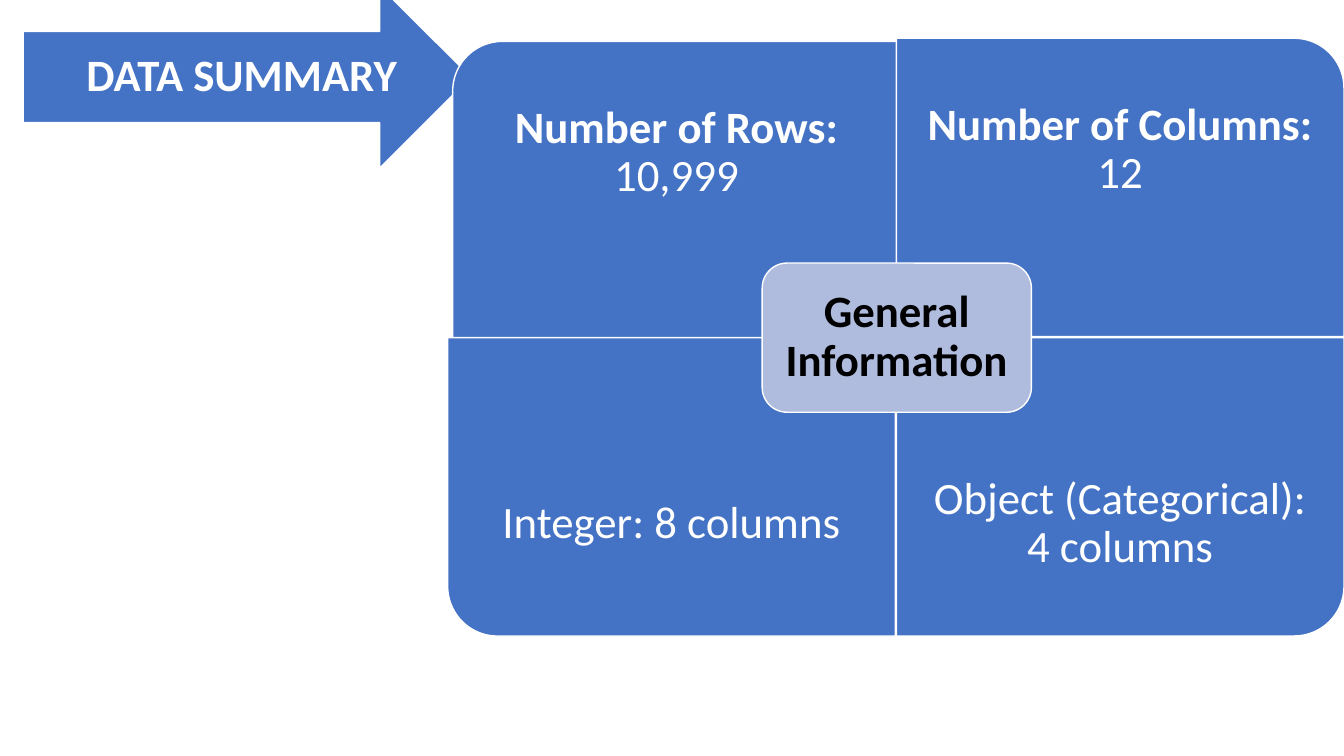
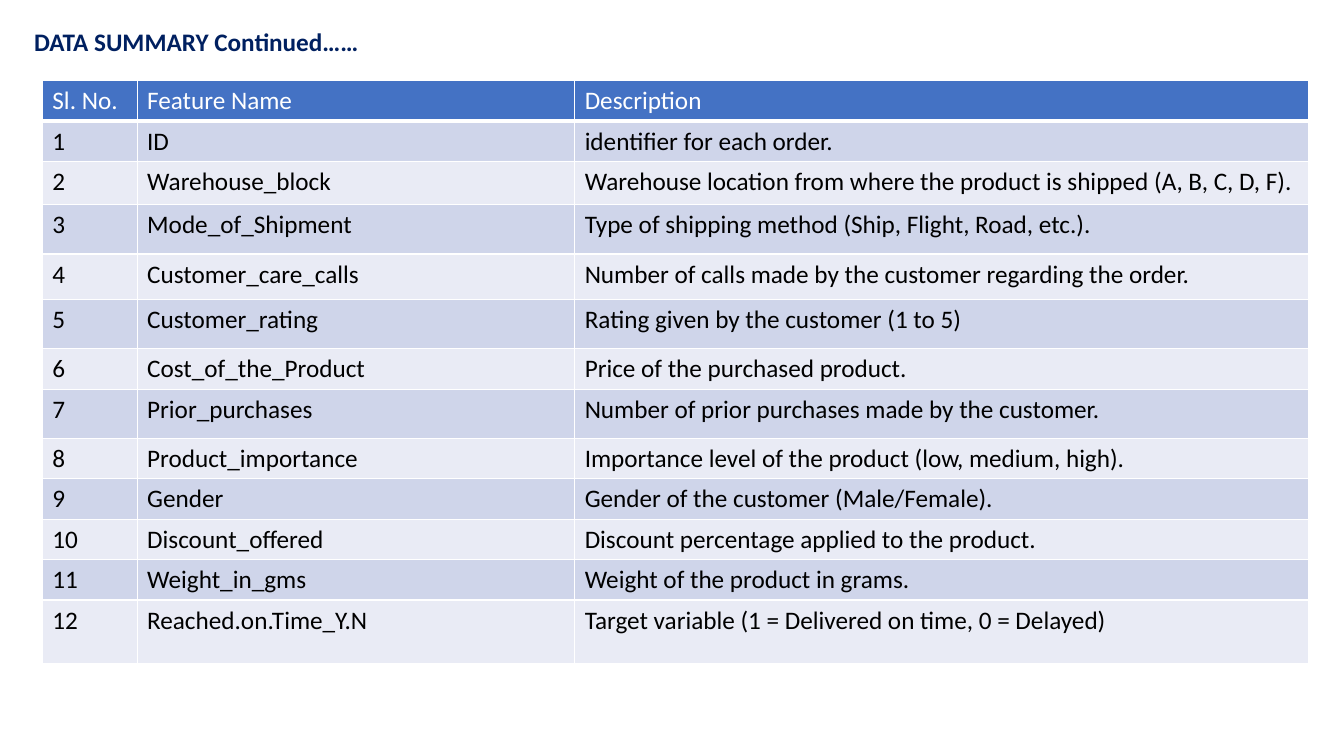
from typing import NamedTuple

from lxml.etree import SubElement
from pptx import Presentation
from pptx.dml.color import RGBColor
from pptx.enum.shapes import MSO_SHAPE
from pptx.enum.text import MSO_ANCHOR, PP_ALIGN
from pptx.oxml.ns import qn
from pptx.util import Inches, Pt

FONT = "Calibri"
WHITE = RGBColor(0xFF, 0xFF, 0xFF)
BLACK = RGBColor(0x00, 0x00, 0x00)
BLUE = RGBColor(0x44, 0x72, 0xC4)
LAVENDER = RGBColor(0xB0, 0xBC, 0xDE)
NAVY = RGBColor(0x00, 0x20, 0x60)
BANDS = (RGBColor(0xCF, 0xD5, 0xEA), RGBColor(0xE9, 0xEB, 0xF5))

QUAD_W, QUAD_H = 4.44, 2.96
TEXT_H = 2.22


class Quadrant(NamedTuple):
    left: float
    top: float
    rotation: int
    text_top: float
    label: str
    value: str


QUADRANTS = (
    Quadrant(4.49, 0.41, 270, 0.41, "Number of Rows:", " 10,999"),
    Quadrant(8.89, 0.38, 0, 0.38, "Number of Columns:", " 12"),
    Quadrant(4.44, 3.35, 180, 4.09, "", "Integer: 8 columns"),
    Quadrant(8.89, 3.35, 90, 4.09, "", "Object (Categorical): 4 columns"),
)


class Feature(NamedTuple):
    name: str
    description: str
    height: float


FEATURES = (
    Feature("ID", "identifier for each order.", 0.4),
    Feature("Warehouse_block",
            "Warehouse location from where the product is shipped (A, B, C, D, F).", 0.43),
    Feature("Mode_of_Shipment", "Type of shipping method (Ship, Flight, Road, etc.).", 0.49),
    Feature("Customer_care_calls",
            "Number of calls made by the customer regarding the order.", 0.45),
    Feature("Customer_rating", "Rating given by the customer (1 to 5)", 0.49),
    Feature("Cost_of_the_Product", "Price of the purchased product.", 0.4),
    Feature("Prior_purchases", "Number of prior purchases made by the customer.", 0.49),
    Feature("Product_importance", "Importance level of the product (low, medium, high).", 0.4),
    Feature("Gender", "Gender of the customer (Male/Female).", 0.4),
    Feature("Discount_offered", "Discount percentage applied to the product.", 0.4),
    Feature("Weight_in_gms", "Weight of the product in grams.", 0.4),
    Feature("Reached.on.Time_Y.N", "Target variable (1 = Delivered on time, 0 = Delayed)", 0.63),
)
HEADER = ("Sl. No.", "Feature Name", "Description")
HEADER_H = 0.4
COLUMN_WIDTHS = (0.94, 4.34, 7.28)


def add_run(p, text: str, *, size: int = 18, color: RGBColor = BLACK, bold: bool = False) -> None:
    r = p.add_run()
    r.text = text
    r.font.name = FONT
    r.font.size = Pt(size)
    r.font.bold = bold
    r.font.color.rgb = color


def center_text(sp, insets: tuple[float, float, float, float]):
    """Set up a centred, wrapped frame and return its first paragraph."""
    tf = sp.text_frame
    tf.word_wrap = True
    tf.vertical_anchor = MSO_ANCHOR.MIDDLE
    tf.margin_left, tf.margin_top, tf.margin_right, tf.margin_bottom = map(Inches, insets)
    p = tf.paragraphs[0]
    p.alignment = PP_ALIGN.CENTER
    p.line_spacing = 0.9
    return p


def add_block(s, kind: MSO_SHAPE, left: float, top: float, width: float, height: float,
              *, fill: RGBColor = BLUE, rotation: int = 0):
    """Add a white-outlined shape that covers the given area once rotated."""
    if rotation % 180:
        left, top = left + (width - height) / 2, top + (height - width) / 2
        width, height = height, width
    sp = s.shapes.add_shape(kind, Inches(left), Inches(top), Inches(width), Inches(height))
    sp.rotation = rotation
    sp.shadow.inherit = False
    sp.fill.solid()
    sp.fill.fore_color.rgb = fill
    sp.line.color.rgb = WHITE
    sp.line.width = Pt(1)
    return sp


def add_quadrant(s, quad: Quadrant) -> None:
    add_block(s, MSO_SHAPE.ROUND_1_RECTANGLE, quad.left, quad.top, QUAD_W, QUAD_H,
              rotation=quad.rotation)
    box = s.shapes.add_textbox(Inches(quad.left), Inches(quad.text_top),
                               Inches(QUAD_W), Inches(TEXT_H))
    p = center_text(box, (0.25, 0.25, 0.25, 0.25))
    if quad.label:
        add_run(p, quad.label, size=32, color=WHITE, bold=True)
    add_run(p, quad.value, size=32, color=WHITE)


def add_borders(cell, bottom: float = 1) -> None:
    tc_pr = cell._tc.get_or_add_tcPr()
    for side, width in (("L", 1), ("R", 1), ("T", 1), ("B", bottom)):
        ln = SubElement(tc_pr, qn(f"a:ln{side}"), w=str(Pt(width)))
        SubElement(SubElement(ln, qn("a:solidFill")), qn("a:srgbClr"), val=str(WHITE))


def add_feature_table(s) -> None:
    rows = [HEADER] + [(str(i), f.name, f.description) for i, f in enumerate(FEATURES, 1)]
    heights = [HEADER_H] + [f.height for f in FEATURES]
    table = s.shapes.add_table(len(rows), len(HEADER), Inches(0.42), Inches(0.8),
                               Inches(sum(COLUMN_WIDTHS)), Inches(sum(heights))).table
    for column, width in zip(table.columns, COLUMN_WIDTHS):
        column.width = Inches(width)
    for i, (values, height) in enumerate(zip(rows, heights)):
        table.rows[i].height = Inches(height)
        is_header = i == 0
        for cell, value in zip(table.rows[i].cells, values):
            add_borders(cell, bottom=3 if is_header else 1)
            cell.fill.solid()
            cell.fill.fore_color.rgb = BLUE if is_header else BANDS[(i - 1) % 2]
            add_run(cell.text_frame.paragraphs[0], value, color=WHITE if is_header else BLACK)


def build_overview(s) -> None:
    arrow = add_block(s, MSO_SHAPE.RIGHT_ARROW, 0.23, -0.14, 4.44, 1.81)
    add_run(center_text(arrow, (0.35, 0, 0, 0)), "DATA SUMMARY", size=32, color=WHITE, bold=True)
    for quad in QUADRANTS:
        add_quadrant(s, quad)
    hub = add_block(s, MSO_SHAPE.ROUNDED_RECTANGLE, 7.56, 2.61, 2.67, 1.48, fill=LAVENDER)
    add_run(center_text(hub, (0.13, 0.13, 0.13, 0.13)), "General Information", size=32, bold=True)


def build_features(s) -> None:
    add_feature_table(s)
    title = s.shapes.add_textbox(Inches(0.24), Inches(0.21), Inches(6.67), Inches(0.4))
    title.text_frame.word_wrap = True
    add_run(title.text_frame.paragraphs[0], "DATA SUMMARY Continued……", color=NAVY, bold=True)


def main() -> None:
    prs = Presentation()
    prs.slide_width, prs.slide_height = Inches(13.33), Inches(7.5)
    for build in (build_overview, build_features):
        build(prs.slides.add_slide(prs.slide_layouts[6]))
    prs.save("out.pptx")


if __name__ == "__main__":
    main()
